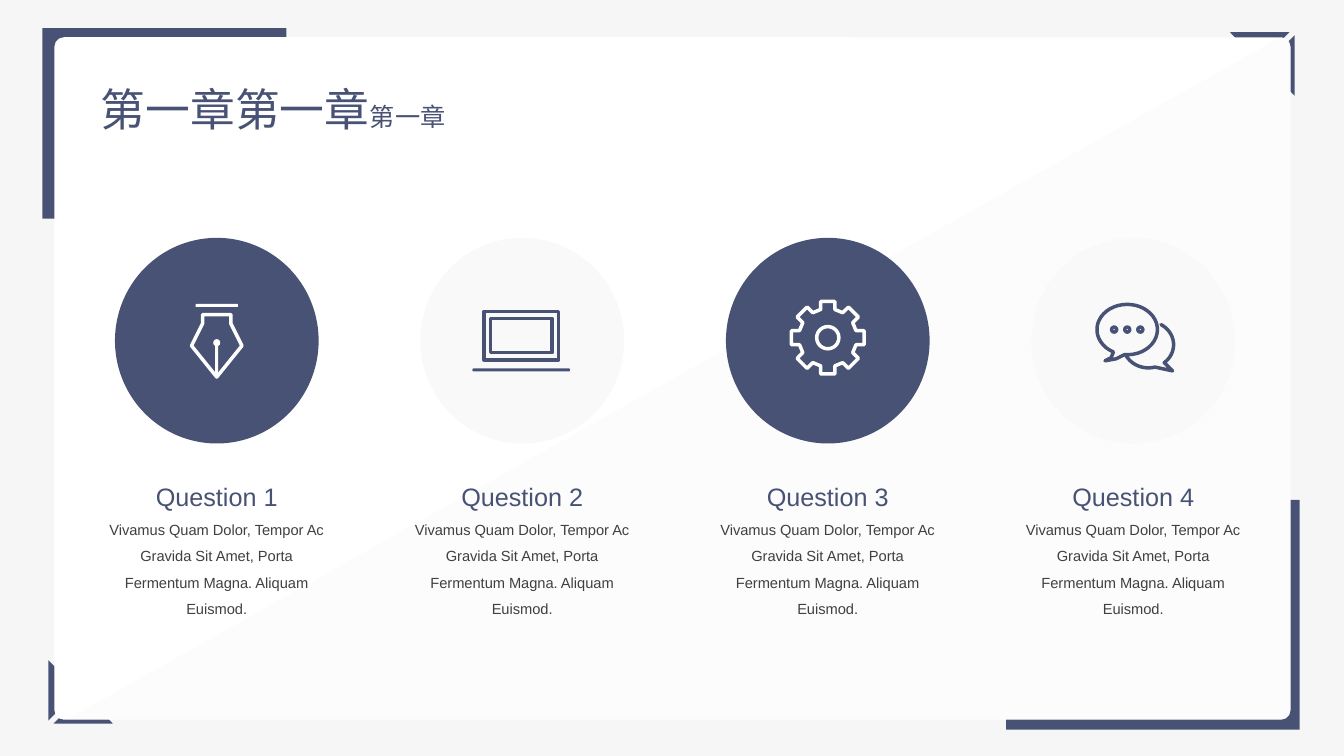
from math import cos, radians, sin

from lxml import etree
from pptx import Presentation
from pptx.dml.color import RGBColor
from pptx.enum.shapes import MSO_SHAPE
from pptx.enum.text import MSO_AUTO_SIZE, PP_ALIGN
from pptx.oxml.ns import qn
from pptx.util import Inches, Pt

RECTANGLE = MSO_SHAPE.RECTANGLE
ROUNDED = MSO_SHAPE.ROUNDED_RECTANGLE
OVAL = MSO_SHAPE.OVAL
CENTER = PP_ALIGN.CENTER
GROW = MSO_AUTO_SIZE.SHAPE_TO_FIT_TEXT

NAVY = RGBColor(0x48, 0x52, 0x75)
WHITE = RGBColor(0xFF, 0xFF, 0xFF)
PALE = RGBColor(0xF9, 0xF9, 0xF9)
SHADE = RGBColor(0xF2, 0xF2, 0xF2)
BACKDROP = RGBColor(0xF6, 0xF6, 0xF6)
GREY = RGBColor(0x40, 0x40, 0x40)

TITLE = [("第一章第一章", 32, "Noto Sans CJK SC"), ("第一章", 18, "Arial")]
QUESTIONS = ["Question 1", "Question 2", "Question 3", "Question 4"]
ANSWER = ("Vivamus Quam Dolor, Tempor Ac Gravida Sit Amet, "
          "Porta Fermentum Magna. Aliquam Euismod.")

WIDTH, HEIGHT = 13.33, 7.5
FIRST_CENTER, PITCH, ICON_Y = 2.15, 3.03, 3.38
CARD_LEFT, CARD_TOP, CARD_RIGHT, CARD_BOTTOM = 0.54, 0.37, 12.8, 7.14
CARD_RADIUS = 0.1
STROKE = 2.5

CORNER = [
    [(0.63, 6.7), (0.63, 7), (0.48, 7.15), (0.48, 6.55)],
    [(1.12, 7.18), (0.53, 7.18), (0.68, 7.03), (0.98, 7.03)],
]
NIB = [(0, 0.36), (-0.25, 0.05), (-0.14, -0.17), (-0.14, -0.26),
       (0.14, -0.26), (0.14, -0.17), (0.25, 0.05)]

deck = Presentation()
deck.slide_width, deck.slide_height = Inches(WIDTH), Inches(HEIGHT)
page = deck.slides.add_slide(deck.slide_layouts[6])
page.background.fill.solid()
page.background.fill.fore_color.rgb = BACKDROP


def paint(shape, fill=None, line=None):
    shape.shadow.inherit = False
    if fill is None:
        shape.fill.background()
    else:
        shape.fill.solid()
        shape.fill.fore_color.rgb = fill
    if line is None:
        shape.line.fill.background()
    else:
        shape.line.color.rgb = line
        shape.line.width = Pt(STROKE)
        outline = shape.line._get_or_add_ln()
        outline.set("cap", "rnd")
        etree.SubElement(outline, qn("a:round"))
    return shape


def preset(kind, x, y, width, height, fill=None, line=None):
    shape = page.shapes.add_shape(kind, Inches(x), Inches(y), Inches(width), Inches(height))
    return paint(shape, fill, line)


def centered(kind, x, y, width, height, fill=None, line=None):
    return preset(kind, x - width / 2, y - height / 2, width, height, fill, line)


def outline(contours, fill=None, line=None, close=True):
    contours = [[(Inches(x), Inches(y)) for x, y in points] for points in contours]
    builder = page.shapes.build_freeform(*contours[0][0])
    for number, points in enumerate(contours):
        if number:
            builder.move_to(*points[0])
        builder.add_line_segments(points[1:], close=close)
    return paint(builder.convert_to_shape(), fill, line)


def arc(x, y, radius_x, radius_y, start, end, steps=40):
    angles = [radians(start + (end - start) * step / steps) for step in range(steps + 1)]
    return [(x + radius_x * cos(angle), y + radius_y * sin(angle)) for angle in angles]


def draw_pen(x, y, color):
    centered(RECTANGLE, x, y - 0.35, 0.42, 0.03, color)
    outline([[(x + dx, y + dy) for dx, dy in NIB]], line=color)
    centered(RECTANGLE, x, y + 0.17, 0.03, 0.34, color)
    centered(OVAL, x, y + 0.02, 0.07, 0.07, color)


def draw_laptop(x, y, color):
    for width, height in [(0.74, 0.48), (0.61, 0.34)]:
        centered(RECTANGLE, x - 0.01, y - 0.05, width, height, line=color)
    centered(ROUNDED, x - 0.01, y + 0.29, 0.97, 0.03, color).adjustments[0] = 0.5


def draw_gear(x, y, color):
    y -= 0.03
    points = []
    for tooth in range(8):
        across, up = cos(radians(45 * tooth)), sin(radians(45 * tooth))
        for reach, side in [(0.28, -0.07), (0.36, -0.07), (0.36, 0.07), (0.28, 0.07)]:
            points.append((x + reach * across - side * up, y + reach * up + side * across))
    outline([points], line=color)
    centered(OVAL, x, y, 0.22, 0.22, line=color)


def draw_chat(x, y, color):
    bubble_x, bubble_y = x - 0.06, y - 0.11
    front = arc(bubble_x, bubble_y, 0.3, 0.25, 95, -243)
    outline([front + [(x - 0.22, y + 0.17), (x - 0.28, y + 0.2), (x - 0.17, y + 0.18)]], line=color)
    back = (x + 0.15, y + 0.04, 0.25, 0.23)
    tail = [(x + 0.39, y + 0.3)]
    outline([arc(*back, -60, 51) + tail + arc(*back, 75, 152)], line=color, close=False)
    for step in (-1, 0, 1):
        centered(OVAL, bubble_x + 0.13 * step, bubble_y, 0.05, 0.05, line=color)


def text_box(x, y, width, height, wrap):
    box = page.shapes.add_textbox(Inches(x), Inches(y), Inches(width), Inches(height))
    box.text_frame.word_wrap = wrap
    box.text_frame.auto_size = GROW
    return box.text_frame


preset(RECTANGLE, 0.42, 0.28, 2.42, 1.89, NAVY)
preset(RECTANGLE, 9.98, 4.96, 2.91, 2.28, NAVY)
outline(CORNER, NAVY)
outline([[(WIDTH - 0.01 - x, HEIGHT - y) for x, y in points] for points in CORNER], NAVY)
card = preset(ROUNDED, CARD_LEFT, CARD_TOP, CARD_RIGHT - CARD_LEFT, CARD_BOTTOM - CARD_TOP, WHITE)
card.adjustments[0] = 0.014

corner_x = CARD_RIGHT - CARD_RADIUS
shade = outline([
    arc(corner_x, CARD_TOP + CARD_RADIUS, CARD_RADIUS, CARD_RADIUS, -90, 0, 8)
    + arc(corner_x, CARD_BOTTOM - CARD_RADIUS, CARD_RADIUS, CARD_RADIUS, 0, 90, 8)
    + [(0.66, CARD_BOTTOM)]
], SHADE)
tint = shade.fill._xPr.find(qn("a:solidFill"))[0]
etree.SubElement(tint, qn("a:alpha")).set("val", "16000")

title = text_box(0.9, 0.76, 5.75, 0.64, False).paragraphs[0]
title.font.color.rgb = NAVY
for words, size, face in TITLE:
    span = title.add_run()
    span.text = words
    span.font.size = Pt(size)
    span.font.name = face
    span.font.color.rgb = NAVY
    etree.SubElement(span.font._element, qn("a:ea")).set("typeface", "Noto Sans CJK SC")

for column, draw_icon in enumerate([draw_pen, draw_laptop, draw_gear, draw_chat]):
    x = FIRST_CENTER + PITCH * column
    disc, ink = (PALE, NAVY) if column % 2 else (NAVY, WHITE)
    centered(OVAL, x, ICON_Y, 2.02, 2.04, disc)
    draw_icon(x, ICON_Y, ink)
    frame = text_box(x - 1.2, 4.58, 2.4, 1.62, True)
    lines = [(QUESTIONS[column], 18, NAVY), (ANSWER, 10.5, GREY)]
    for number, (words, size, color) in enumerate(lines):
        para = frame.add_paragraph() if number else frame.paragraphs[0]
        para.text = words
        para.alignment = CENTER
        para.line_spacing = 1.5
        para.font.size = Pt(size)
        para.font.name = "Arial"
        para.font.color.rgb = color

deck.save("out.pptx")
